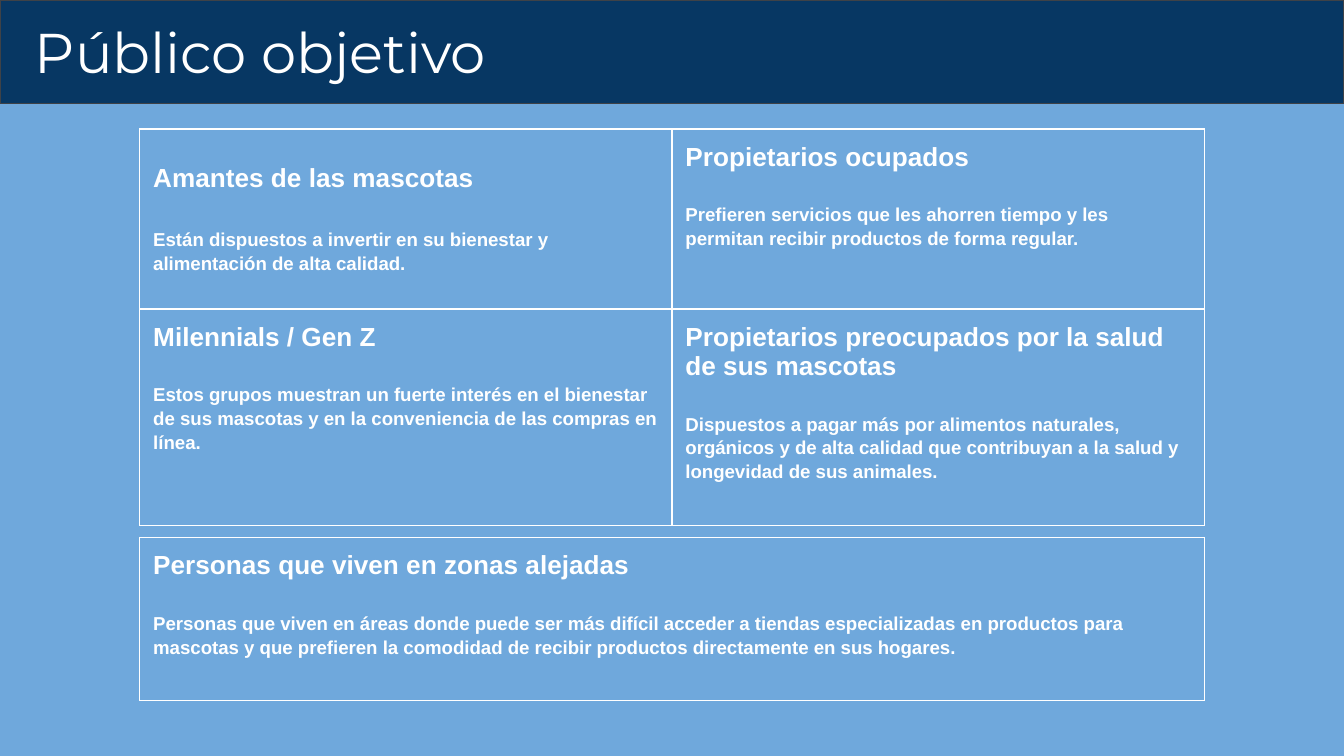
from collections import namedtuple
from dataclasses import dataclass

from lxml import etree
from pptx import Presentation, util as u
from pptx.dml.color import RGBColor
from pptx.enum import shapes, text
from pptx.oxml import ns

Box = namedtuple("Box", "left top width height")
Segment = namedtuple("Segment", "heading body")


@dataclass(frozen=True)
class Theme:
    background: str = "6FA8DC"
    band: str = "073763"
    band_line: str = "3F4247"
    white: str = "FFFFFF"
    title_font: str = "Montserrat"
    body_font: str = "Arial"
    title_size: float = 30
    heading_size: float = 14
    body_size: float = 10
    line_width: float = 0.75
    inset: float = 0.1
    body_gap: float = 16


THEME = Theme()
PAGE = Box(0, 0, 10, 10 * 9 / 16)
BAND = Box(0, 0, PAGE.width, 0.77)
GRID_ROWS = (1.34, 1.61)
GRID = Box(1.04, 0.96, 7.92, sum(GRID_ROWS))
FOOT = Box(GRID.left, 4, GRID.width, 1.21)

SEGMENTS = [
    [Segment("Amantes de las mascotas",
             "Están dispuestos a invertir en su bienestar y alimentación de alta calidad."),
     Segment("Propietarios ocupados",
             "Prefieren servicios que les ahorren tiempo y les permitan recibir "
             "productos de forma regular.")],
    [Segment("Milennials / Gen Z",
             "Estos grupos muestran un fuerte interés en el bienestar de sus mascotas "
             "y en la conveniencia de las compras en línea."),
     Segment("Propietarios preocupados por la salud de sus mascotas",
             "Dispuestos a pagar más por alimentos naturales, orgánicos y de alta calidad "
             "que contribuyan a la salud y longevidad de sus animales.")],
]
REMOTE = Segment("Personas que viven en zonas alejadas",
                 "Personas que viven en áreas donde puede ser más difícil acceder a tiendas "
                 "especializadas en productos para mascotas y que prefieren la comodidad de "
                 "recibir productos directamente en sus hogares.")


def color(value):
    return RGBColor.from_string(value)


def inches(box):
    return [u.Inches(length) for length in box]


def write(para, words, size, font=THEME.body_font, bold=False, before=0, spacing=None):
    para.alignment = text.PP_ALIGN.LEFT
    para.space_before = u.Pt(before)
    if spacing:
        para.line_spacing = spacing
    span = para.add_run()
    span.text = words
    span.font.name = font
    span.font.size = u.Pt(size)
    span.font.bold = bold
    span.font.color.rgb = color(THEME.white)


def set_margins(target):
    for side in ("left", "top", "right", "bottom"):
        setattr(target, f"margin_{side}", u.Inches(THEME.inset))


def outline_cell(cell):
    properties = cell._tc.get_or_add_tcPr()
    for side in ("lnL", "lnR", "lnT", "lnB"):
        line = etree.SubElement(properties, ns.qn(f"a:{side}"), w=str(u.Pt(THEME.line_width)))
        fill = etree.SubElement(line, ns.qn("a:solidFill"))
        etree.SubElement(fill, ns.qn("a:srgbClr"), val=THEME.white)


def fill_cell(cell, segment, drop=0, gap=THEME.body_gap):
    """Write a heading and its description; drop lowers the text in the cell."""
    outline_cell(cell)
    cell.fill.background()
    set_margins(cell)
    cell.margin_top = u.Inches(THEME.inset + drop)
    frame = cell.text_frame
    write(frame.paragraphs[0], segment.heading, THEME.heading_size, bold=True)
    write(frame.add_paragraph(), segment.body, THEME.body_size, bold=True,
          before=gap, spacing=1.15)


def add_grid(page, box, row_heights, columns):
    table = page.shapes.add_table(len(row_heights), columns, *inches(box)).table
    table.first_row = table.horz_banding = False
    for column in table.columns:
        column.width = u.Inches(box.width / columns)
    for row, height in zip(table.rows, row_heights):
        row.height = u.Inches(height)
    return table


def add_header(page, box, words):
    band = page.shapes.add_shape(shapes.MSO_SHAPE.RECTANGLE, *inches(box))
    band.shadow.inherit = False
    band.fill.solid()
    band.fill.fore_color.rgb = color(THEME.band)
    band.line.color.rgb = color(THEME.band_line)
    band.line.width = u.Pt(THEME.line_width)

    title = page.shapes.title
    title.element.addprevious(band.element)
    title.left, title.top, title.width, title.height = inches(
        Box(box.left + 0.16, box.top + 0.03, box.width - 0.79, box.height - 0.06))
    frame = title.text_frame
    frame.auto_size = text.MSO_AUTO_SIZE.NONE
    frame.vertical_anchor = text.MSO_ANCHOR.TOP
    set_margins(frame)
    write(frame.paragraphs[0], words, THEME.title_size, font=THEME.title_font)


def add_segments(page, box):
    table = add_grid(page, box, GRID_ROWS, columns=2)
    for row, segments in enumerate(SEGMENTS):
        for column, segment in enumerate(segments):
            lowered = {"drop": 0.16, "gap": 18} if row == column == 0 else {}
            fill_cell(table.cell(row, column), segment, **lowered)


def add_remote_segment(page, box):
    table = add_grid(page, box, [box.height], columns=1)
    fill_cell(table.cell(0, 0), REMOTE)


def main():
    deck = Presentation()
    deck.slide_width, deck.slide_height = u.Inches(PAGE.width), u.Inches(PAGE.height)
    page = deck.slides.add_slide(deck.slide_layouts.get_by_name("Title Only"))
    page.background.fill.solid()
    page.background.fill.fore_color.rgb = color(THEME.background)
    add_header(page, BAND, "Público objetivo")
    add_segments(page, GRID)
    add_remote_segment(page, FOOT)
    deck.save("out.pptx")


if __name__ == "__main__":
    main()
